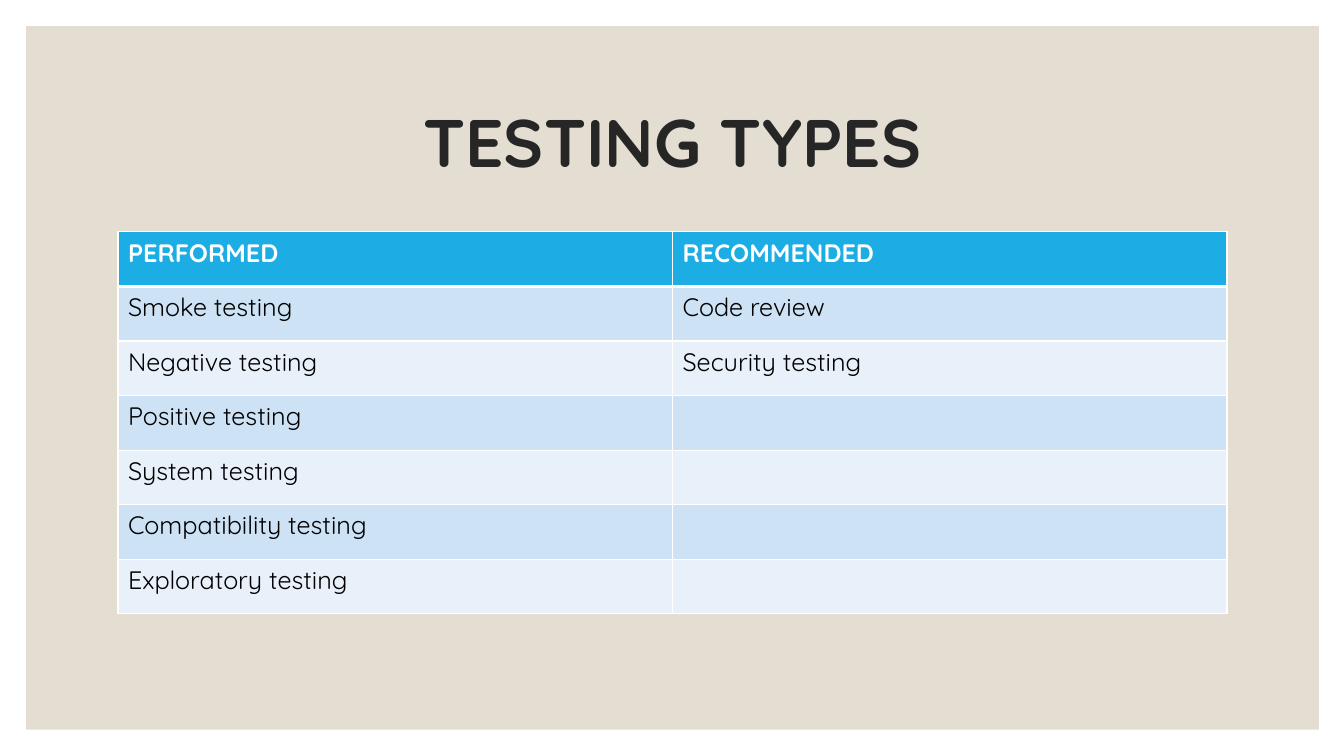
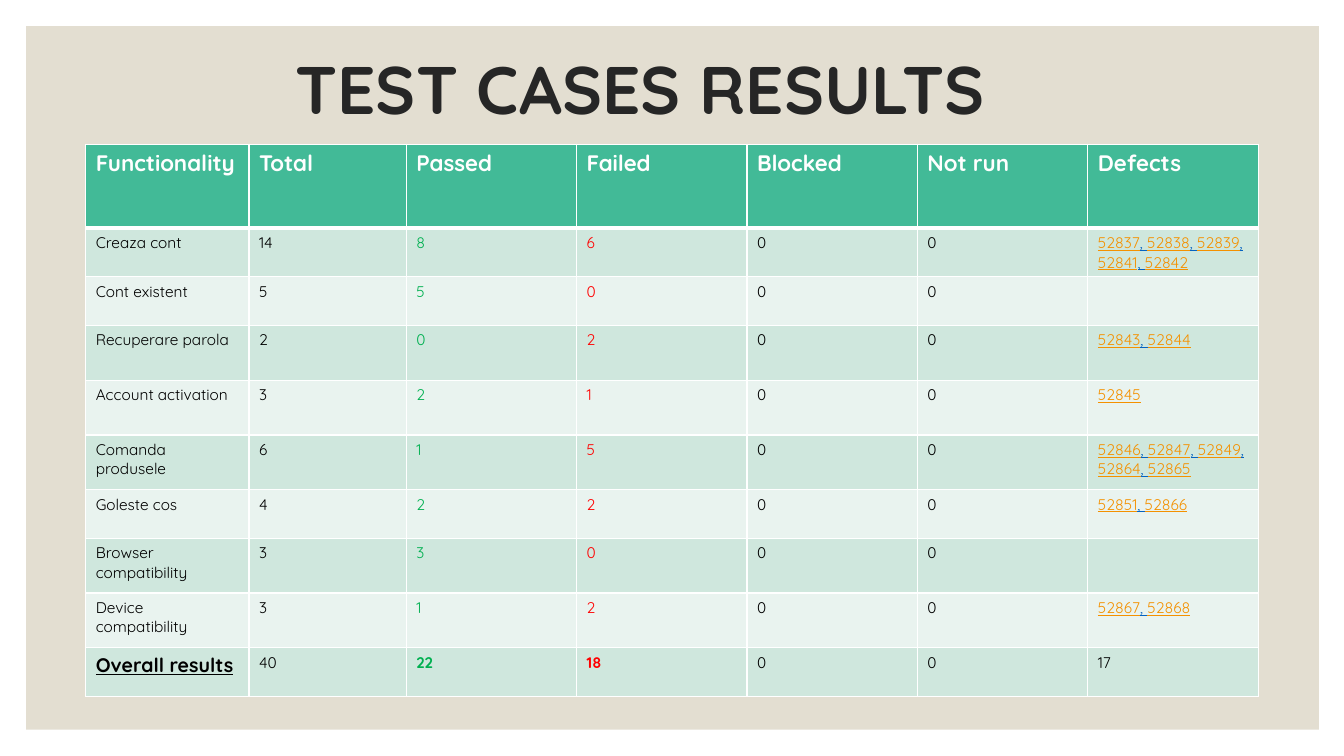
from dataclasses import dataclass, replace

from lxml import etree
from pptx import Presentation
from pptx.dml.color import RGBColor
from pptx.enum.shapes import MSO_SHAPE
from pptx.enum.text import MSO_ANCHOR, PP_ALIGN
from pptx.oxml.ns import qn
from pptx.util import Inches, Pt

RECTANGLE = MSO_SHAPE.RECTANGLE
MIDDLE = MSO_ANCHOR.MIDDLE
CENTER = PP_ALIGN.CENTER

FONT = "Quicksand"
WHITE = RGBColor(0xFF, 0xFF, 0xFF)
BLACK = RGBColor(0x00, 0x00, 0x00)
SAND = RGBColor(0xE3, 0xDE, 0xD1)
CHARCOAL = RGBColor(0x26, 0x26, 0x26)
GREEN = RGBColor(0x00, 0xB0, 0x50)
RED = RGBColor(0xFF, 0x00, 0x00)
ORANGE = RGBColor(0xF4, 0x91, 0x00)
LINK_BLUE = RGBColor(0x05, 0x63, 0xC1)

# Table palettes: header, odd rows, even rows
BLUE_TABLE = (RGBColor(0x1C, 0xAD, 0xE4), RGBColor(0xCD, 0xE3, 0xF5), RGBColor(0xE8, 0xF1, 0xFA))
GREEN_TABLE = (RGBColor(0x42, 0xBA, 0x97), RGBColor(0xCF, 0xE7, 0xDD), RGBColor(0xE9, 0xF3, 0xEF))


@dataclass(frozen=True)
class TextStyle:
    size: float
    color: RGBColor = BLACK
    bold: bool = False
    underline: bool = False


TITLE = TextStyle(48, CHARCOAL, bold=True)
TYPE_HEADER = TextStyle(18, WHITE, bold=True)
TYPE_BODY = TextStyle(18)
RESULT_HEADER = TextStyle(16, WHITE, bold=True)
RESULT_BODY = TextStyle(11)
PASSED = replace(RESULT_BODY, color=GREEN)
FAILED = replace(RESULT_BODY, color=RED)
DEFECT = replace(RESULT_BODY, color=ORANGE, underline=True)
SEPARATOR = replace(DEFECT, color=LINK_BLUE)
OVERALL = TextStyle(14, bold=True, underline=True)


class Deck:
    def __init__(self):
        self.presentation = Presentation()
        self.presentation.slide_width = Inches(13.33)
        self.presentation.slide_height = Inches(7.5)
        self.slide = None

    def add_slide(self):
        self.slide = self.presentation.slides.add_slide(self.presentation.slide_layouts[6])
        panel = self.slide.shapes.add_shape(
            RECTANGLE, Inches(0.26), Inches(0.26), Inches(12.82), Inches(6.98))
        panel.shadow.inherit = False
        panel.fill.solid()
        panel.fill.fore_color.rgb = SAND
        panel.line.fill.background()

    def add_run(self, paragraph, text, style):
        run = paragraph.add_run()
        run.text = text
        run.font.name = FONT
        run.font.size = Pt(style.size)
        run.font.color.rgb = style.color
        run.font.bold = style.bold
        run.font.underline = style.underline

    def add_title(self, text, left, top):
        box = self.slide.shapes.add_textbox(Inches(left), Inches(top), Inches(11), Inches(1.5))
        frame = box.text_frame
        frame.word_wrap = True
        frame.vertical_anchor = MIDDLE
        paragraph = frame.paragraphs[0]
        paragraph.alignment = CENTER
        paragraph.line_spacing = 0.9
        self.add_run(paragraph, text, TITLE)

    def add_border(self, cell, side, width):
        properties = cell._tc.get_or_add_tcPr()
        line = etree.SubElement(properties, qn(f"a:ln{side}"), w=str(Pt(width)))
        fill = etree.SubElement(line, qn("a:solidFill"))
        etree.SubElement(fill, qn("a:srgbClr"), val=str(WHITE))

    def add_table(self, rows, left, top, height, column_widths, row_heights, palette):
        """Each cell is a list of (text, style) runs; row heights are scaled to fill the height."""
        frame = self.slide.shapes.add_table(
            len(rows), len(column_widths), Inches(left), Inches(top),
            Inches(sum(column_widths)), Inches(height))
        table = frame.table
        for column, width in zip(table.columns, column_widths):
            column.width = Inches(width)
        scale = height / sum(row_heights)
        for row, row_height in zip(table.rows, row_heights):
            row.height = Inches(row_height * scale)
        header_color, *band_colors = palette
        for row_index, row in enumerate(rows):
            color = band_colors[(row_index - 1) % 2] if row_index else header_color
            # A thicker rule separates the header from the body
            borders = {"L": 1, "R": 1, "T": 3 if row_index == 1 else 1, "B": 1 if row_index else 3}
            for column_index, runs in enumerate(row):
                cell = table.cell(row_index, column_index)
                for side, width in borders.items():
                    self.add_border(cell, side, width)
                cell.fill.solid()
                cell.fill.fore_color.rgb = color
                for text, style in runs:
                    self.add_run(cell.text_frame.paragraphs[0], text, style)


def styled_row(texts, styles):
    return [[(text, style)] if text else [] for text, style in zip(texts, styles)]


def defect_runs(numbers):
    runs = []
    for number in numbers:
        if runs:
            runs.append((", ", SEPARATOR))
        runs.append((str(number), DEFECT))
    return runs


def build_testing_types(deck):
    performed = ["Smoke testing", "Negative testing", "Positive testing",
                 "System testing", "Compatibility testing", "Exploratory testing"]
    recommended = ["Code review", "Security testing"]
    recommended += [""] * (len(performed) - len(recommended))

    deck.add_slide()
    deck.add_title("TESTING TYPES", 1.17, 0.7)
    rows = [styled_row(["PERFORMED", "RECOMMENDED"], [TYPE_HEADER] * 2)]
    rows += [styled_row(pair, [TYPE_BODY] * 2) for pair in zip(performed, recommended)]
    deck.add_table(rows, 1.17, 2.3, 3.79, [5.5] * 2, [1] * len(rows), BLUE_TABLE)


def build_test_results(deck):
    headers = ["Functionality", "Total", "Passed", "Failed", "Blocked", "Not run", "Defects"]
    # Functionality, total, passed, failed, defect numbers
    results = [
        ("Creaza cont", 14, 8, 6, [52837, 52838, 52839, 52841, 52842]),
        ("Cont existent", 5, 5, 0, []),
        ("Recuperare parola", 2, 0, 2, [52843, 52844]),
        ("Account activation", 3, 2, 1, [52845]),
        ("Comanda produsele", 6, 1, 5, [52846, 52847, 52849, 52864, 52865]),
        ("Goleste cos", 4, 2, 2, [52851, 52866]),
        ("Browser compatibility", 3, 3, 0, []),
        ("Device compatibility", 3, 1, 2, [52867, 52868]),
    ]
    body_styles = [RESULT_BODY, RESULT_BODY, PASSED, FAILED, RESULT_BODY, RESULT_BODY]
    overall_styles = [OVERALL, RESULT_BODY, replace(PASSED, bold=True),
                      replace(FAILED, bold=True)] + [RESULT_BODY] * 3

    deck.add_slide()
    deck.add_title("TEST CASES RESULTS", 0.85, 0.17)
    rows = [styled_row(headers, [RESULT_HEADER] * len(headers))]
    for name, total, passed, failed, defects in results:
        texts = [name] + [str(count) for count in (total, passed, failed, 0, 0)]
        rows.append(styled_row(texts, body_styles) + [defect_runs(defects)])
    rows.append(styled_row(["Overall results", "40", "22", "18", "0", "0", "17"], overall_styles))

    short, tall = 0.48, 0.54
    row_heights = [0.83, short, short, tall, tall, tall, short, tall, tall, short]
    deck.add_table(rows, 0.85, 1.43, 5.48, [1.62, 1.56] + [1.69] * 5, row_heights, GREEN_TABLE)


def main():
    deck = Deck()
    build_testing_types(deck)
    build_test_results(deck)
    deck.presentation.save("out.pptx")


if __name__ == "__main__":
    main()
